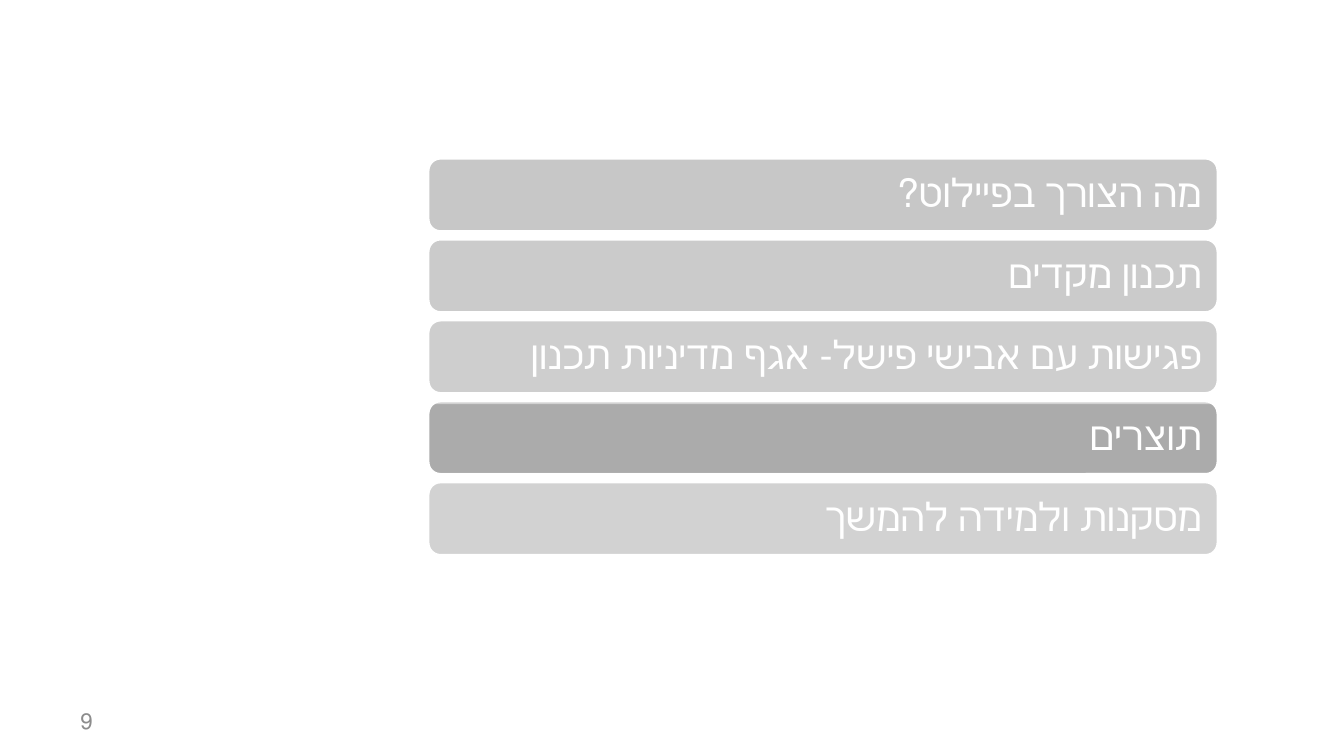
from typing import NamedTuple

from lxml.etree import SubElement
from pptx import Presentation
from pptx.dml.color import RGBColor
from pptx.enum.shapes import MSO_SHAPE
from pptx.enum.text import MSO_ANCHOR, PP_ALIGN
from pptx.oxml.ns import qn
from pptx.util import Cm, Pt

WHITE = RGBColor(0xFF, 0xFF, 0xFF)
MUTED = RGBColor(0x8C, 0x8C, 0x8C)
GREY_1 = RGBColor(0x96, 0x96, 0x96)
GREY_2 = RGBColor(0x9D, 0x9D, 0x9D)
GREY_3 = RGBColor(0xA4, 0xA4, 0xA4)
GREY_4 = RGBColor(0xAB, 0xAB, 0xAB)

FONT = "Calibri"
LEFT, TOP, WIDTH, HEIGHT = 8.1, 3.0, 14.91, 1.37
STEP = 1.53
INSET = 0.23


class Topic(NamedTuple):
    text: str
    fill: RGBColor


class Veil(NamedTuple):
    left: float
    top: float


TOPICS = [
    Topic("מה הצורך בפיילוט?", GREY_1),
    Topic("תכנון מקדים", GREY_2),
    Topic("פגישות עם אבישי פישל- אגף מדיניות תכנון", GREY_3),
    Topic("תוצרים", GREY_4),
    Topic("מסקנות ולמידה להמשך", GREY_4),
]
VEILS = [Veil(1.98, 8.94), Veil(1.9, 1.24)]


def write(frame, text: str, size: float, color: RGBColor, align: PP_ALIGN):
    """Fill a text frame with one right-to-left line."""
    frame.word_wrap = True
    frame.vertical_anchor = MSO_ANCHOR.MIDDLE
    para = frame.paragraphs[0]
    para.alignment = align
    para._p.get_or_add_pPr().set("rtl", "1")
    run = para.add_run()
    run.text = text
    run.font.name = FONT
    run.font.size = Pt(size)
    run.font.color.rgb = color
    return para


def add_bar(slide, row: int, topic: Topic) -> None:
    bar = slide.shapes.add_shape(
        MSO_SHAPE.ROUNDED_RECTANGLE,
        Cm(LEFT), Cm(TOP + row * STEP), Cm(WIDTH), Cm(HEIGHT),
    )
    bar.shadow.inherit = False
    bar.fill.solid()
    bar.fill.fore_color.rgb = topic.fill
    bar.line.color.rgb = WHITE
    bar.line.width = Pt(1)
    frame = bar.text_frame
    frame.margin_left = frame.margin_right = Cm(INSET)
    frame.margin_top = frame.margin_bottom = Cm(INSET)
    para = write(frame, topic.text, 21, WHITE, PP_ALIGN.RIGHT)
    para.line_spacing = 0.9


def add_veil(slide, veil: Veil) -> None:
    """Fade the topics that are not current."""
    pane = slide.shapes.add_shape(
        MSO_SHAPE.RECTANGLE, Cm(veil.left), Cm(veil.top), Cm(21.9), Cm(6.4)
    )
    pane.shadow.inherit = False
    pane.line.fill.background()
    pane.fill.solid()
    pane.fill.fore_color.rgb = WHITE
    color = pane._element.spPr.find(qn("a:solidFill"))[0]
    SubElement(color, qn("a:alpha")).set("val", "47000")


def main() -> None:
    deck = Presentation()
    deck.slide_width, deck.slide_height = Cm(25.4), Cm(14.29)
    slide = deck.slides.add_slide(deck.slide_layouts[6])

    # Agenda
    for row, topic in enumerate(TOPICS):
        add_bar(slide, row, topic)

    # Page number
    page = slide.shapes.add_textbox(Cm(1.27), Cm(13.24), Cm(5.93), Cm(0.76))
    write(page.text_frame, "9", 12, MUTED, PP_ALIGN.LEFT)

    # Veils above and below the current topic
    for veil in VEILS:
        add_veil(slide, veil)

    deck.save("out.pptx")


if __name__ == "__main__":
    main()
